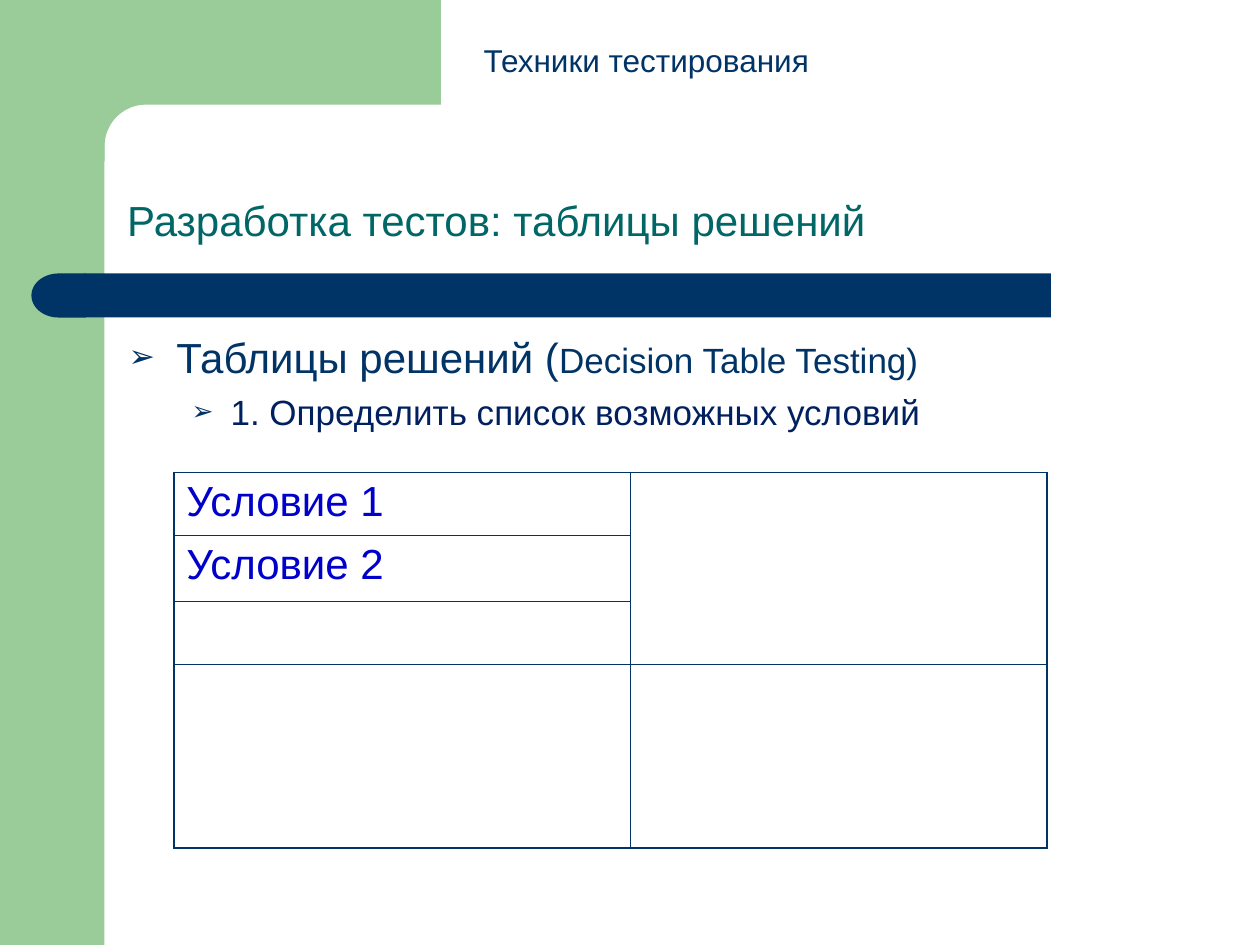
import math

import pptx
import pptx.dml.color
import pptx.enum.shapes
import pptx.enum.text
import pptx.oxml
import pptx.oxml.ns
import pptx.util
from pptx.util import Inches, Pt

RGBColor = pptx.dml.color.RGBColor
NAVY = RGBColor(0x00, 0x33, 0x66)
DEEP = RGBColor(0x00, 0x20, 0x60)
TEAL = RGBColor(0x00, 0x66, 0x66)
BLUE = RGBColor(0x00, 0x00, 0xCC)
GREEN = RGBColor(0x99, 0xCC, 0x99)

TOPIC = "Техники тестирования"
TITLE = "Разработка тестов: таблицы решений"
# level, text indent, hanging indent, runs (text, size, colour)
BULLETS = [
    (0, 0.38, 0.38, [("Таблицы решений (", 24, NAVY),
                     ("Decision Table Testing)", 20, NAVY)]),
    (1, 0.81, 0.31, [("1. Определить список возможных условий", 20, DEEP)]),
]
TERMS = ["Условие 1", "Условие 2"]
COLS = [3.62, 3.31]
ROWS = [0.5, 0.52, 0.5, 1.46]
THIN, THICK = 0.45, 1.08

SHAPE = pptx.enum.shapes.MSO_SHAPE
ALIGN = pptx.enum.text.PP_ALIGN
ANCHOR = pptx.enum.text.MSO_ANCHOR
FIT = pptx.enum.text.MSO_AUTO_SIZE
NS = pptx.oxml.ns.nsdecls("a")


def assign(obj, values):
    for name, value in values.items():
        setattr(obj, name, value)


def place(shape, left, top, width, height):
    assign(shape, {"left": Inches(left), "top": Inches(top),
                   "width": Inches(width), "height": Inches(height)})


def write(para, text, size, color):
    run = para.add_run()
    run.text = text
    assign(run.font, {"name": "Arial", "size": Pt(size)})
    run.font.color.rgb = color


def paint(shape, color):
    shape.fill.solid()
    shape.fill.fore_color.rgb = color
    shape.line.fill.background()
    shape.shadow.inherit = False
    return shape


def block(slide, kind, box, color):
    return paint(slide.shapes.add_shape(kind, *map(Inches, box)), color)


def corner(slide):
    """Green band at the top with a rounded inner corner."""
    mid, rad = 1.16, 0.33
    turns = [math.radians(90 * i / 12) for i in range(13)]
    arc = [(mid - rad * math.sin(t), mid - rad * math.cos(t)) for t in turns]
    points = [(3.5, 0.83), *arc, (0.83, 1.28), (0.5, 1.28), (0.5, 0)]
    form = slide.shapes.build_freeform(Inches(3.5), 0)
    form.add_line_segments([(Inches(x), Inches(y)) for x, y in points])
    paint(form.convert_to_shape(), GREEN)


def mark(para, left, hang):
    """Give the paragraph an arrow bullet and a hanging indent."""
    props = para._p.get_or_add_pPr()
    props.set("marL", str(Inches(left)))
    props.set("indent", str(-Inches(hang)))
    for item in (f'<a:buClr {NS}><a:srgbClr val="{NAVY}"/></a:buClr>',
                 f'<a:buSzPct {NS} val="75000"/>',
                 f'<a:buFont {NS} typeface="Wingdings"/>'.replace("Wingdings", "Arial"),
                 f'<a:buChar {NS} char="➢"/>'):
        props.append(pptx.oxml.parse_xml(item))


def border(cell, row, col):
    """Draw thick lines on the outer edge and thin ones inside."""
    outer = {"lnL": col == 0, "lnR": col == len(COLS) - 1,
             "lnT": row == 0, "lnB": row == len(ROWS) - 1}
    props = cell._tc.get_or_add_tcPr()
    for spot, (tag, edge) in enumerate(outer.items()):
        width = Pt(THICK if edge else THIN)
        props.insert(spot, pptx.oxml.parse_xml(
            f'<a:{tag} {NS} w="{width}"><a:solidFill>'
            f'<a:srgbClr val="{NAVY}"/></a:solidFill></a:{tag}>'))


def grid(slide):
    table = slide.shapes.add_table(
        len(ROWS), len(COLS), Inches(1.38), Inches(3.75),
        Inches(sum(COLS)), Inches(sum(ROWS))).table
    assign(table, {"first_row": False, "horz_banding": False})
    for col, width in zip(table.columns, COLS):
        col.width = Inches(width)
    for row, height in zip(table.rows, ROWS):
        row.height = Inches(height)
    for r in range(len(ROWS)):
        for c in range(len(COLS)):
            cell = table.cell(r, c)
            cell.fill.background()
            border(cell, r, c)
    for r, term in enumerate(TERMS):
        para = table.cell(r, 0).text_frame.paragraphs[0]
        para.space_before = Pt(6)
        write(para, term, 24, BLUE)
    table.cell(0, 1).merge(table.cell(2, 1))


def main():
    deck = pptx.Presentation()
    assign(deck, {"slide_width": Inches(10), "slide_height": Inches(7.5)})
    slide = deck.slides.add_slide(deck.slide_layouts[1])

    block(slide, SHAPE.RECTANGLE, (0, 0, 0.83, 7.5), GREEN)
    corner(slide)
    block(slide, SHAPE.RECTANGLE, (0.67, 2.17, 7.67, 0.35), NAVY)
    cap = block(slide, SHAPE.FLOWCHART_DELAY, (0.25, 2.17, 0.43, 0.35), NAVY)
    cap._element.spPr.xfrm.set("flipH", "1")

    title = slide.shapes.title
    place(title, 0.91, 0.91, 8.51, 1.09)
    assign(title.text_frame, {"vertical_anchor": ANCHOR.BOTTOM,
                              "auto_size": FIT.NONE})
    para = title.text_frame.paragraphs[0]
    assign(para, {"alignment": ALIGN.LEFT, "line_spacing": 0.9})
    write(para, TITLE, 24, TEAL)

    body = slide.placeholders[1]
    place(body, 0.92, 2.58, 8.34, 4.32)
    frame = body.text_frame
    frame.auto_size = FIT.NONE
    for i, (level, left, hang, runs) in enumerate(BULLETS):
        para = frame.add_paragraph() if i else frame.paragraphs[0]
        assign(para, {"level": level, "space_before": Pt(5)})
        mark(para, left, hang)
        for run in runs:
            write(para, *run)

    topic = slide.shapes.add_textbox(*map(Inches, (3.74, 0.28, 5.83, 0.4)))
    topic.text_frame.word_wrap = True
    para = topic.text_frame.paragraphs[0]
    para.space_before = Pt(11.2)
    write(para, TOPIC, 18, NAVY)

    grid(slide)
    deck.save("out.pptx")


if __name__ == "__main__":
    main()
